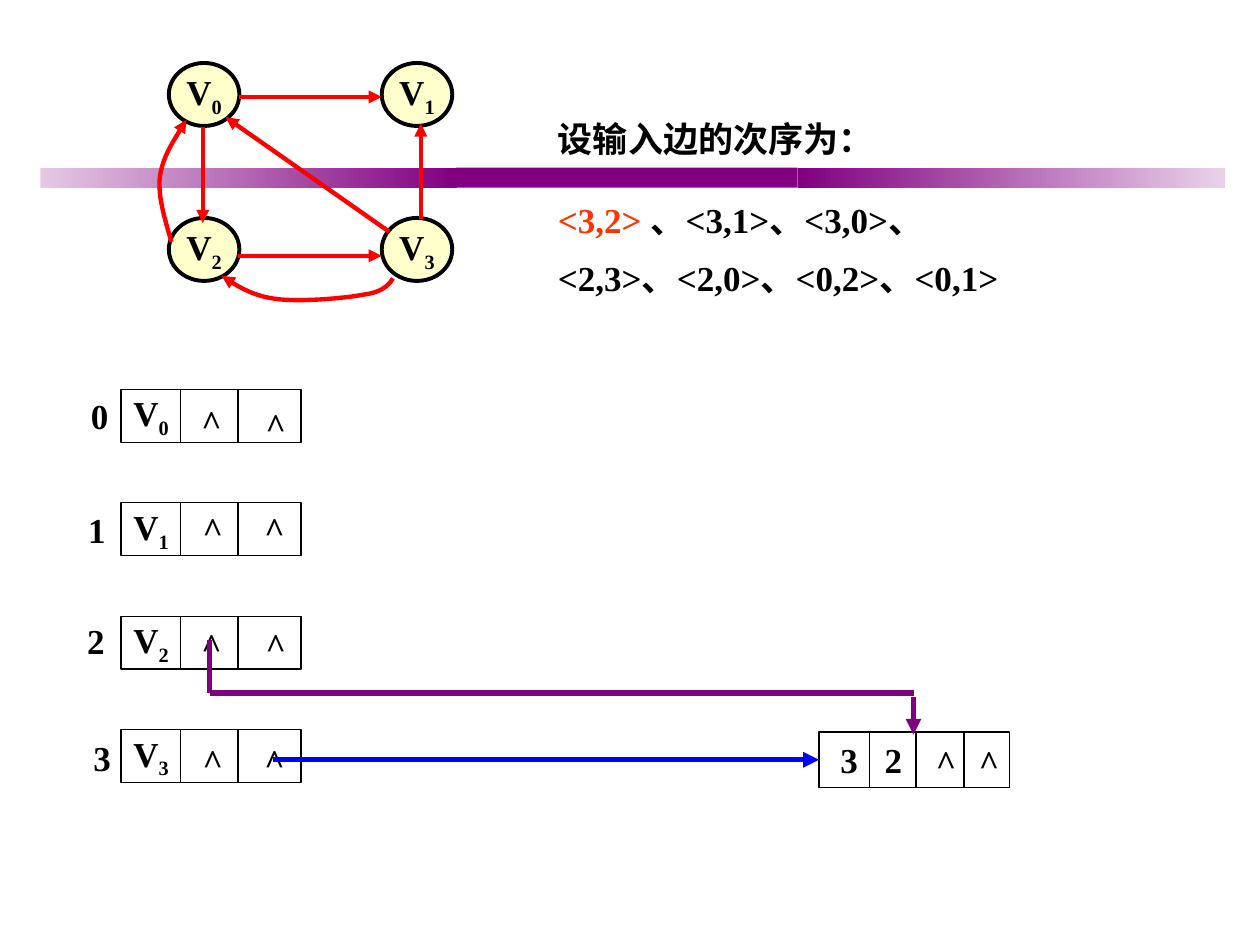
from lxml.etree import SubElement
from pptx import Presentation
from pptx.dml.color import RGBColor
from pptx.enum.shapes import MSO_CONNECTOR, MSO_SHAPE
from pptx.enum.text import MSO_ANCHOR, PP_ALIGN
from pptx.oxml.ns import qn
from pptx.util import Inches, Pt

BLACK, RED, BLUE, PURPLE = "000000", "FF0000", "0000FF", "800080"
CENTER, MIDDLE = PP_ALIGN.CENTER, MSO_ANCHOR.MIDDLE


def rgb(hex_color):
    return RGBColor.from_string(hex_color)


def inches(*lengths):
    return [Inches(length) for length in lengths]


def bezier(start, *segments, steps=12):
    """Points along a chain of cubic curves, each given as two controls and an end."""
    points = [start]
    for segment in segments:
        corners = [points[-1], *segment]
        for step in range(1, steps + 1):
            t = step / steps
            weights = ((1 - t) ** 3, 3 * t * (1 - t) ** 2, 3 * t * t * (1 - t), t ** 3)
            points.append(tuple(sum(w * c[axis] for w, c in zip(weights, corners))
                                for axis in (0, 1)))
    return points


class Board:
    font, size = "Times New Roman", Pt(20)

    def __init__(self, slide):
        self.slide = slide
        self.shapes = slide.shapes

    def stroke(self, item, color, width, arrow=False):
        item.line.color.rgb = rgb(color)
        item.line.width = Pt(width)
        if arrow:
            SubElement(item.line._get_or_add_ln(), qn("a:tailEnd"), type="triangle")

    def box(self, kind, at, fill=None, line_width=None):
        shape = self.shapes.add_shape(kind, *inches(*at))
        shape.shadow.inherit = False
        if fill:
            shape.fill.solid()
            shape.fill.fore_color.rgb = rgb(fill)
        else:
            shape.fill.background()
        if line_width:
            self.stroke(shape, BLACK, line_width)
        else:
            shape.line.fill.background()
        return shape

    def fade(self, at, start, end):
        """A bar with a gradient from left to right."""
        bar = self.box(MSO_SHAPE.RECTANGLE, at)
        bar.fill.gradient()
        bar.fill.gradient_angle = 0
        for stop, color, position in zip(bar.fill.gradient_stops, (start, end), (0, 1)):
            stop.color.rgb = rgb(color)
            stop.position = position

    def run(self, paragraph, text, color=BLACK, subscript=False):
        run = paragraph.add_run()
        run.text = text
        font = run.font
        font.name, font.size, font.bold = self.font, self.size, True
        font.color.rgb = rgb(color)
        if subscript:
            run._r.get_or_add_rPr().set("baseline", "-25000")

    def vertex_name(self, shape, index, align):
        frame = shape.text_frame
        frame.word_wrap = False
        frame.vertical_anchor = MIDDLE
        paragraph = frame.paragraphs[0]
        paragraph.alignment = align
        self.run(paragraph, "V")
        self.run(paragraph, str(index), subscript=True)

    def label(self, text, left, top, width=0.36, align=PP_ALIGN.LEFT):
        frame = self.shapes.add_textbox(*inches(left, top, width, 0.44)).text_frame
        frame.word_wrap = False
        frame.paragraphs[0].alignment = align
        self.run(frame.paragraphs[0], text)

    def line(self, start, end, color=BLACK, width=0.75, arrow=False):
        line = self.shapes.add_connector(MSO_CONNECTOR.STRAIGHT, *inches(*start, *end))
        SubElement(line._element.spPr, qn("a:effectLst"))
        self.stroke(line, color, width, arrow)
        # The schema wants the effect list after the line properties.
        line._element.spPr.append(line._element.spPr.find(qn("a:effectLst")))
        return line

    def curve(self, points, color, width):
        emu = [tuple(inches(*point)) for point in points]
        builder = self.shapes.build_freeform(*emu[0])
        builder.add_line_segments(emu[1:], close=False)
        curve = builder.convert_to_shape()
        curve.shadow.inherit = False
        curve.fill.background()
        self.stroke(curve, color, width, arrow=True)

    def cells(self, at, dividers):
        """A record box split by vertical lines."""
        record = self.box(MSO_SHAPE.RECTANGLE, at, line_width=0.75)
        top, bottom = at[1], at[1] + at[3]
        for x in dividers:
            self.line((x, top), (x, bottom))
        return record


def draw_band(board):
    board.fade((0.32, 1.33, 3.31, 0.16), "E4C9E4", PURPLE)
    board.box(MSO_SHAPE.RECTANGLE, (3.62, 1.33, 2.71, 0.16), fill=PURPLE)
    board.fade((6.33, 1.33, 3.39, 0.16), PURPLE, "E9D2E9")


def draw_vertex_table(board):
    # Label position, then the positions of the in and out carets of each row.
    rows = [
        ((0.62, 3.08), (1.5, 3.13), (2.01, 3.15)),
        ((0.6, 3.99), (1.51, 3.98), (2, 3.98)),
        ((0.59, 4.87), (1.5, 4.9), (2.01, 4.9)),
        ((0.64, 5.8), (1.51, 5.82), (2, 5.82)),
    ]
    for index, (number_at, *carets) in enumerate(rows):
        vertex = board.cells((0.96, 3.09 + 0.9 * index, 1.43, 0.42), (1.43, 1.89))
        board.vertex_name(vertex, index, PP_ALIGN.LEFT)
        board.label(str(index), *number_at, width=0.34, align=CENTER)
        for caret_at in carets:
            board.label("^", *caret_at)


def draw_arc_node(board):
    arc_node = board.cells((6.5, 5.81, 1.51, 0.44), (6.9, 7.27, 7.65))
    frame = arc_node.text_frame
    frame.margin_left = Inches(0.17)
    frame.vertical_anchor = MIDDLE
    ends = frame.paragraphs[0]
    ends.alignment = PP_ALIGN.LEFT
    tabs = SubElement(ends._p.get_or_add_pPr(), qn("a:tabLst"))
    SubElement(tabs, qn("a:tab"), pos=str(Inches(0.35)), algn="l")
    board.run(ends, "3\t2")
    for left in (7.33, 7.67):
        board.label("^", left, 5.83)

    out_link = board.line((2.17, 6.03), (6.5, 6.03), BLUE, 3, arrow=True)
    out_link.end_connect(arc_node, 1)
    board.line((1.66, 5.08), (1.66, 5.5), PURPLE, 3)
    board.line((1.67, 5.5), (7.25, 5.5), PURPLE, 3)
    board.line((7.25, 5.53), (7.25, 5.83), PURPLE, 3, arrow=True)


def draw_edge_order(board):
    frame = board.shapes.add_textbox(*inches(4.33, 0.75, 3.75, 2.14)).text_frame
    frame.word_wrap = True
    heading, edges = frame.paragraphs[0], frame.add_paragraph()
    heading.line_spacing = edges.line_spacing = 1.4
    edges.space_before = Pt(12.5)
    board.run(heading, "设输入边的次序为：")
    board.run(edges, "<3,2> ", "FF3300")
    board.run(edges, "、<3,1>、<3,0>、 <2,3>、<2,0>、<0,2>、<0,1>")


def draw_graph(board):
    for index in range(4):
        row, column = divmod(index, 2)
        at = (1.34 + 1.69 * column, 0.5 + 1.23 * row, 0.56, 0.5)
        vertex = board.box(MSO_SHAPE.OVAL, at, fill="FFFFCC", line_width=2.25)
        board.vertex_name(vertex, index, CENTER)

    edges = [
        ((1.9, 0.77), (3.03, 0.77)),
        ((1.89, 2.03), (3.03, 2.03)),
        ((1.61, 1.01), (1.61, 1.77)),
        ((3.09, 1.84), (1.79, 0.93)),
        ((3.34, 1.74), (3.34, 0.98)),
    ]
    for start, end in edges:
        board.line(start, end, RED, 2.5, arrow=True)

    edge_3_2 = bezier((3.12, 2.21),
                      ((3.08, 2.27), (3.03, 2.32), (2.88, 2.34)),
                      ((2.72, 2.37), (2.35, 2.4), (2.17, 2.37)),
                      ((1.98, 2.34), (1.87, 2.26), (1.76, 2.19)))
    edge_2_0 = bezier((1.36, 1.92),
                      ((1.31, 1.74), (1.25, 1.56), (1.27, 1.4)),
                      ((1.29, 1.24), (1.39, 1.1), (1.48, 0.95)))
    for points in (edge_3_2, edge_2_0):
        board.curve(points, RED, 2.5)


def main():
    deck = Presentation()
    deck.slide_width, deck.slide_height = inches(10, 7.5)
    board = Board(deck.slides.add_slide(deck.slide_layouts[6]))
    draw_band(board)
    draw_vertex_table(board)
    draw_arc_node(board)
    draw_edge_order(board)
    draw_graph(board)
    deck.save("out.pptx")


if __name__ == "__main__":
    main()
